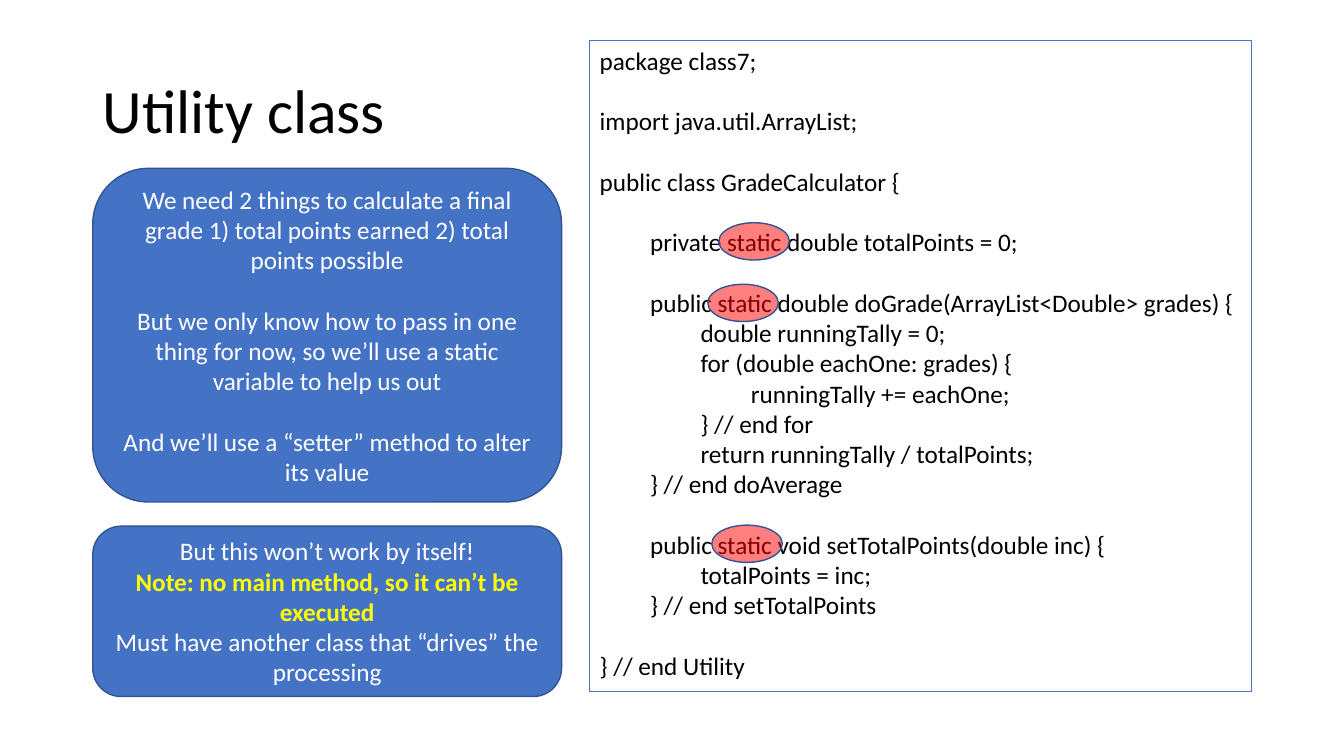
from lxml import etree
from pptx import Presentation
from pptx.dml.color import RGBColor
from pptx.enum import shapes, text
from pptx.oxml.ns import qn
from pptx.util import Inches, Pt

COLORS = {"ink": "000000", "blue": "4472C4", "edge": "325491",
          "white": "FFFFFF", "yellow": "FFFF00", "red": "FF0000"}
FONT = "Calibri"
BLANK_LINE = Pt(21.6)
INDENT = Inches(0.5)

TITLE = "Utility class"
# (indent level, blank line before, text)
CODE = [
    (0, False, "package class7;"),
    (0, True, "import java.util.ArrayList;"),
    (0, True, "public class GradeCalculator {"),
    (1, True, "private static double totalPoints = 0;"),
    (1, True, "public static double doGrade(ArrayList<Double> grades) {"),
    (2, False, "double runningTally = 0;"),
    (2, False, "for (double eachOne: grades) {"),
    (3, False, "runningTally += eachOne;"),
    (2, False, "} // end for"),
    (2, False, "return runningTally / totalPoints;"),
    (1, False, "} // end doAverage"),
    (1, True, "public static void setTotalPoints(double inc) {"),
    (2, False, "totalPoints = inc;"),
    (1, False, "} // end setTotalPoints"),
    (0, True, "} // end Utility"),
]
# (top, height, blank line between paragraphs, [(text, color, bold)])
NOTES = [
    (1.67, 3.31, True, [
        ("We need 2 things to calculate a final grade 1) total points earned "
         "2) total points possible", "white", False),
        ("But we only know how to pass in one thing for now, so we’ll use a "
         "static variable to help us out", "white", False),
        ("And we’ll use a “setter” method to alter its value", "white", False),
    ]),
    (5.22, 1.69, False, [
        ("But this won’t work by itself!", "white", False),
        ("Note: no main method, so it can’t be executed", "yellow", True),
        ("Must have another class that “drives” the processing", "white", False),
    ]),
]
STATIC_MARKS = [(7.13, 2.21), (7.02, 2.82), (7.06, 5.21)]


def rgb(name):
    return RGBColor.from_string(COLORS[name])


def write(paragraph, words, color="ink", size=18, bold=False):
    run = paragraph.add_run()
    run.text = words
    for key, value in {"name": FONT, "size": Pt(size), "bold": bold}.items():
        setattr(run.font, key, value)
    run.font.color.rgb = rgb(color)


def next_paragraph(frame, index):
    return frame.add_paragraph() if index else frame.paragraphs[0]


def add_outlined(slide, kind, box, fill=None, line="edge", weight=1):
    shape = slide.shapes.add_shape(kind, *map(Inches, box))
    shape.shadow.inherit = False
    if fill:
        shape.fill.solid()
        shape.fill.fore_color.rgb = rgb(fill)
    else:
        shape.fill.background()
    shape.line.color.rgb = rgb(line)
    shape.line.width = Pt(weight)
    return shape


def add_title(slide):
    title = slide.shapes.title
    box = {"left": 0.92, "top": 0.4, "width": 11.5, "height": 1.45}
    for key, value in box.items():
        setattr(title, key, Inches(value))
    frame = title.text_frame
    frame.auto_size = text.MSO_AUTO_SIZE.NONE
    frame.vertical_anchor = text.MSO_ANCHOR.MIDDLE
    heading = frame.paragraphs[0]
    heading.alignment = text.PP_ALIGN.LEFT
    heading.line_spacing = 0.9
    write(heading, TITLE, size=44)


def add_code(slide):
    listing = add_outlined(slide, shapes.MSO_SHAPE.RECTANGLE,
                           (5.85, 0.4, 6.56, 6.46), line="blue", weight=0.75)
    frame = listing.text_frame
    frame.word_wrap = False
    frame.auto_size = text.MSO_AUTO_SIZE.SHAPE_TO_FIT_TEXT
    frame.vertical_anchor = text.MSO_ANCHOR.TOP
    for index, (level, gap, words) in enumerate(CODE):
        statement = next_paragraph(frame, index)
        statement.alignment = text.PP_ALIGN.LEFT
        statement.level = level
        properties = statement._p.get_or_add_pPr()
        properties.set("marL", str(level * INDENT))
        properties.set("indent", "0")
        if gap:
            statement.space_before = BLANK_LINE
        write(statement, words)


def add_note(slide, top, height, spaced, lines):
    note = add_outlined(slide, shapes.MSO_SHAPE.ROUNDED_RECTANGLE,
                        (0.92, top, 4.65, height), fill="blue")
    frame = note.text_frame
    frame.word_wrap = True
    frame.vertical_anchor = text.MSO_ANCHOR.MIDDLE
    for index, (words, color, bold) in enumerate(lines):
        remark = next_paragraph(frame, index)
        remark.alignment = text.PP_ALIGN.CENTER
        if spaced and index:
            remark.space_before = BLANK_LINE
        write(remark, words, color, bold=bold)


def add_static_mark(slide, left, top):
    mark = add_outlined(slide, shapes.MSO_SHAPE.OVAL,
                        (left, top, 0.7, 0.37), fill="red")
    tint = mark._element.spPr.find(qn("a:solidFill")).find(qn("a:srgbClr"))
    etree.SubElement(tint, qn("a:alpha")).set("val", "50000")


def main():
    deck = Presentation()
    deck.slide_width, deck.slide_height = Inches(13.33), Inches(7.5)
    slide = deck.slides.add_slide(deck.slide_layouts[5])
    add_title(slide)
    add_code(slide)
    for note in NOTES:
        add_note(slide, *note)
    for place in STATIC_MARKS:
        add_static_mark(slide, *place)
    deck.save("out.pptx")


if __name__ == "__main__":
    main()
